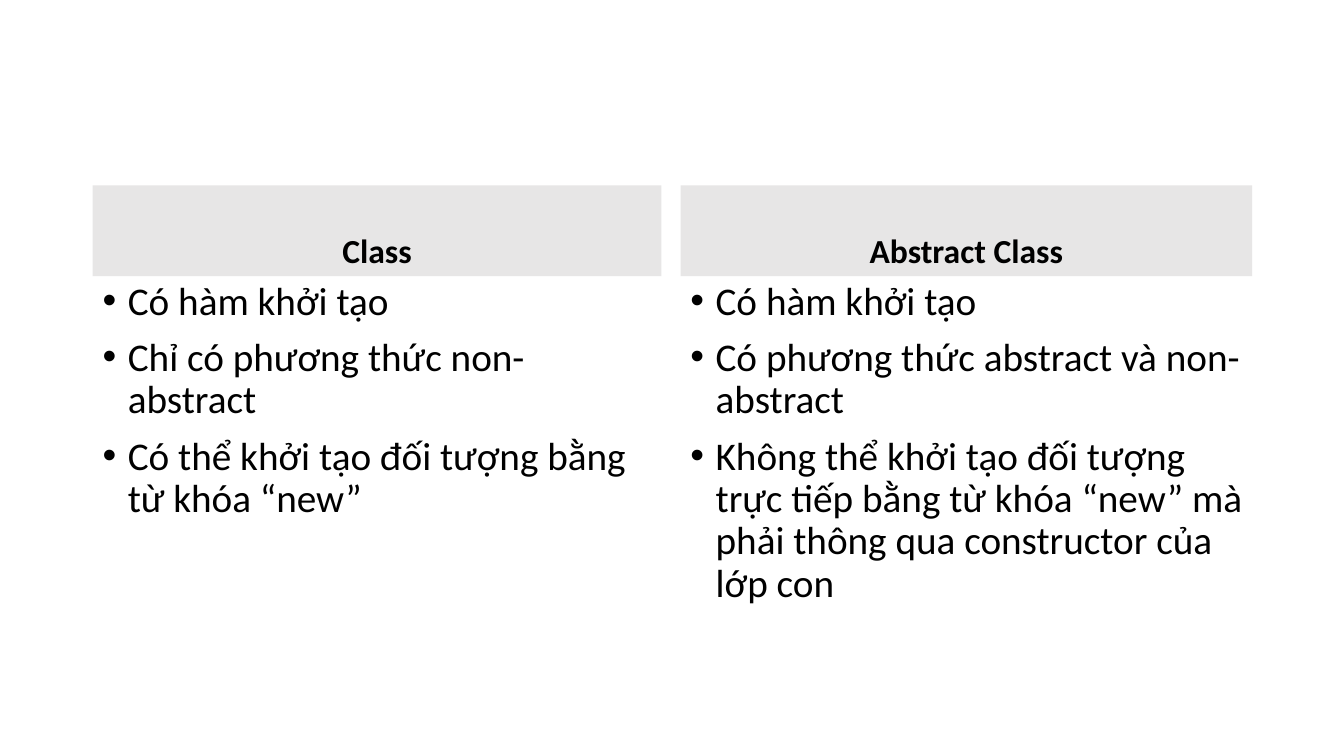
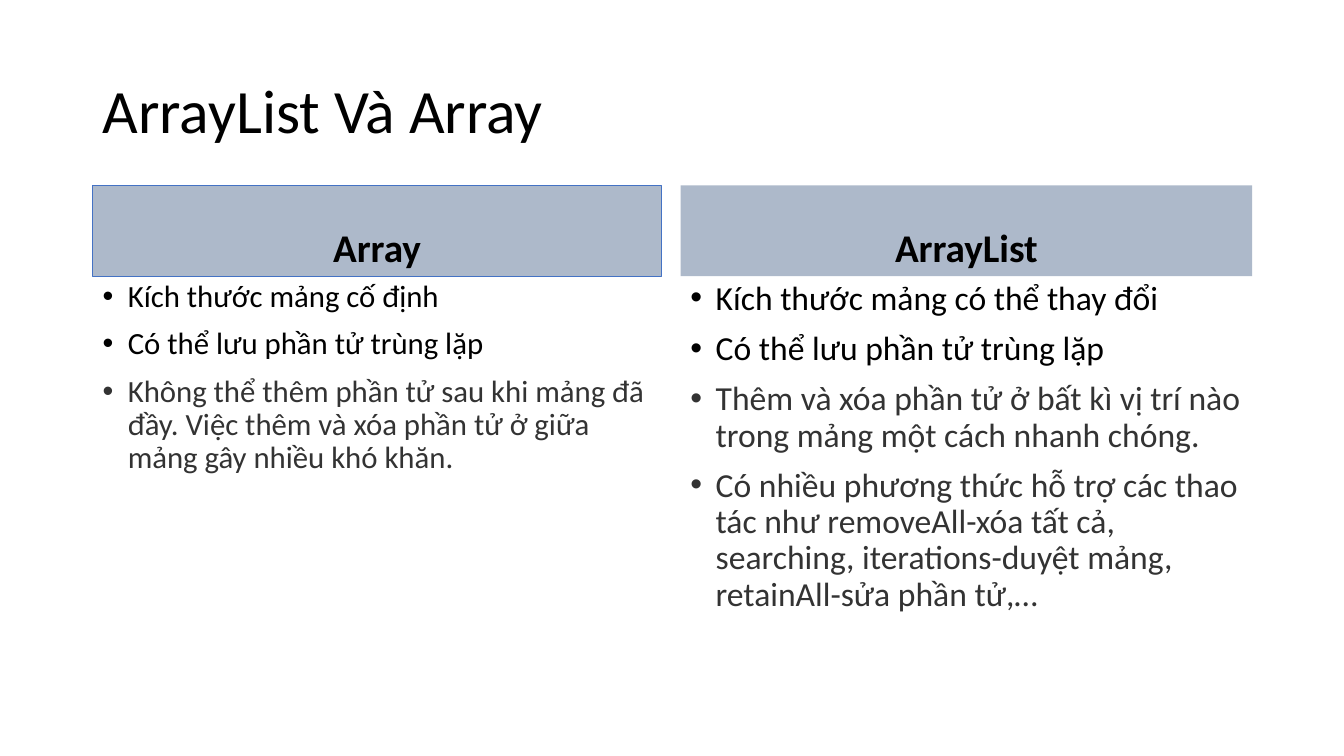
import pptx
import pptx.util
import pptx.dml.color
import pptx.enum.shapes
import pptx.enum.text
import lxml.etree

Inches, Pt = pptx.util.Inches, pptx.util.Pt
RGB = pptx.dml.color.RGBColor
ALIGN = pptx.enum.text.PP_ALIGN
ANCHOR = pptx.enum.text.MSO_ANCHOR
RECT = pptx.enum.shapes.MSO_SHAPE.RECTANGLE

BLACK = RGB(0x00, 0x00, 0x00)
DARK = RGB(0x33, 0x33, 0x33)
GRAY = RGB(0xE7, 0xE6, 0xE6)
STEEL = RGB(0xAD, 0xB9, 0xCA)
BLUE = RGB(0x44, 0x72, 0xC4)
FONT = "Calibri"

SLIDES = [
    {"title": None, "fill": GRAY, "size": 24, "columns": [
        {"head": "Class", "edge": None, "size": 28, "items": [
            ("Có hàm khởi tạo", BLACK),
            ("Chỉ có phương thức non-abstract", BLACK),
            ("Có thể khởi tạo đối tượng bằng từ khóa “new”", BLACK)]},
        {"head": "Abstract Class", "edge": None, "size": 28, "items": [
            ("Có hàm khởi tạo", BLACK),
            ("Có phương thức abstract và non-abstract", BLACK),
            ("Không thể khởi tạo đối tượng trực tiếp bằng từ khóa “new” "
             "mà phải thông qua constructor của lớp con", BLACK)]}]},
    {"title": "ArrayList Và Array", "fill": STEEL, "size": 28, "columns": [
        {"head": "Array", "edge": BLUE, "size": 22, "items": [
            ("Kích thước mảng cố định", BLACK),
            ("Có thể lưu phần tử trùng lặp", BLACK),
            ("Không thể thêm phần tử sau khi mảng đã đầy. Việc thêm và xóa "
             "phần tử ở giữa mảng gây nhiều khó khăn.", DARK)]},
        {"head": "ArrayList", "edge": None, "size": 24, "items": [
            ("Kích thước mảng có thể thay đổi", BLACK),
            ("Có thể lưu phần tử trùng lặp", BLACK),
            ("Thêm và xóa phần tử ở bất kì vị trí nào trong mảng một cách "
             "nhanh chóng.", DARK),
            ("Có nhiều phương thức hỗ trợ các thao tác như removeAll-xóa tất "
             "cả, searching, iterations-duyệt mảng, retainAll-sửa phần tử,…",
             DARK)]}]},
]

COLS = [(0.92, 5.64), (6.75, 5.67)]
LEFT = COLS[0][0]
WIDE = sum(COLS[1]) - LEFT
TITLE, BAND, BODY = (0.4, 1.45), (1.84, 0.9), (2.74, 4.03)


def place(col, row):
    return [Inches(n) for n in (col[0], row[0], col[1], row[1])]


def bullet(para):
    props = para._p.get_or_add_pPr()
    props.set("marL", str(Inches(0.25)))
    props.set("indent", str(-Inches(0.25)))
    space = pptx.oxml.ns.nsdecls("a").split('"')[1]
    lxml.etree.SubElement(props, "{%s}buFont" % space).set("typeface", "Arial")
    lxml.etree.SubElement(props, "{%s}buChar" % space).set("char", "•")


def write(shape, items, size, anchor, align=ALIGN.LEFT, bold=False,
          before=10, dots=False):
    frame = shape.text_frame
    frame.word_wrap = True
    frame.vertical_anchor = anchor
    frame.text = "\n".join(text for text, ink in items)
    for para, (text, ink) in zip(frame.paragraphs, items):
        para.alignment = align
        para.line_spacing = 0.9
        para.space_before = Pt(before)
        if dots:
            bullet(para)
        font = para.runs[0].font
        font.name, font.size, font.bold = FONT, Pt(size), bold
        font.color.rgb = ink


def band(slide, col, fill, edge):
    shape = slide.shapes.add_shape(RECT, *place(col, BAND))
    shape.shadow.inherit = False
    shape.fill.solid()
    shape.fill.fore_color.rgb = fill
    if edge is None:
        shape.line.fill.background()
    else:
        shape.line.color.rgb = edge
        shape.line.width = Pt(0.75)
    return shape


deck = pptx.Presentation()
deck.slide_width, deck.slide_height = Inches(13.33), Inches(7.5)
for page in SLIDES:
    slide = deck.slides.add_slide(deck.slide_layouts[6])
    if page["title"]:
        box = slide.shapes.add_textbox(*place((LEFT, WIDE), TITLE))
        write(box, [(page["title"], BLACK)], 44, ANCHOR.MIDDLE, before=0)
    for col, part in zip(COLS, page["columns"]):
        head = band(slide, col, page["fill"], part["edge"])
        write(head, [(part["head"], BLACK)], page["size"], ANCHOR.BOTTOM,
              ALIGN.CENTER, bold=True)
        body = slide.shapes.add_textbox(*place(col, BODY))
        write(body, part["items"], part["size"], ANCHOR.TOP, dots=True)
deck.save("out.pptx")
